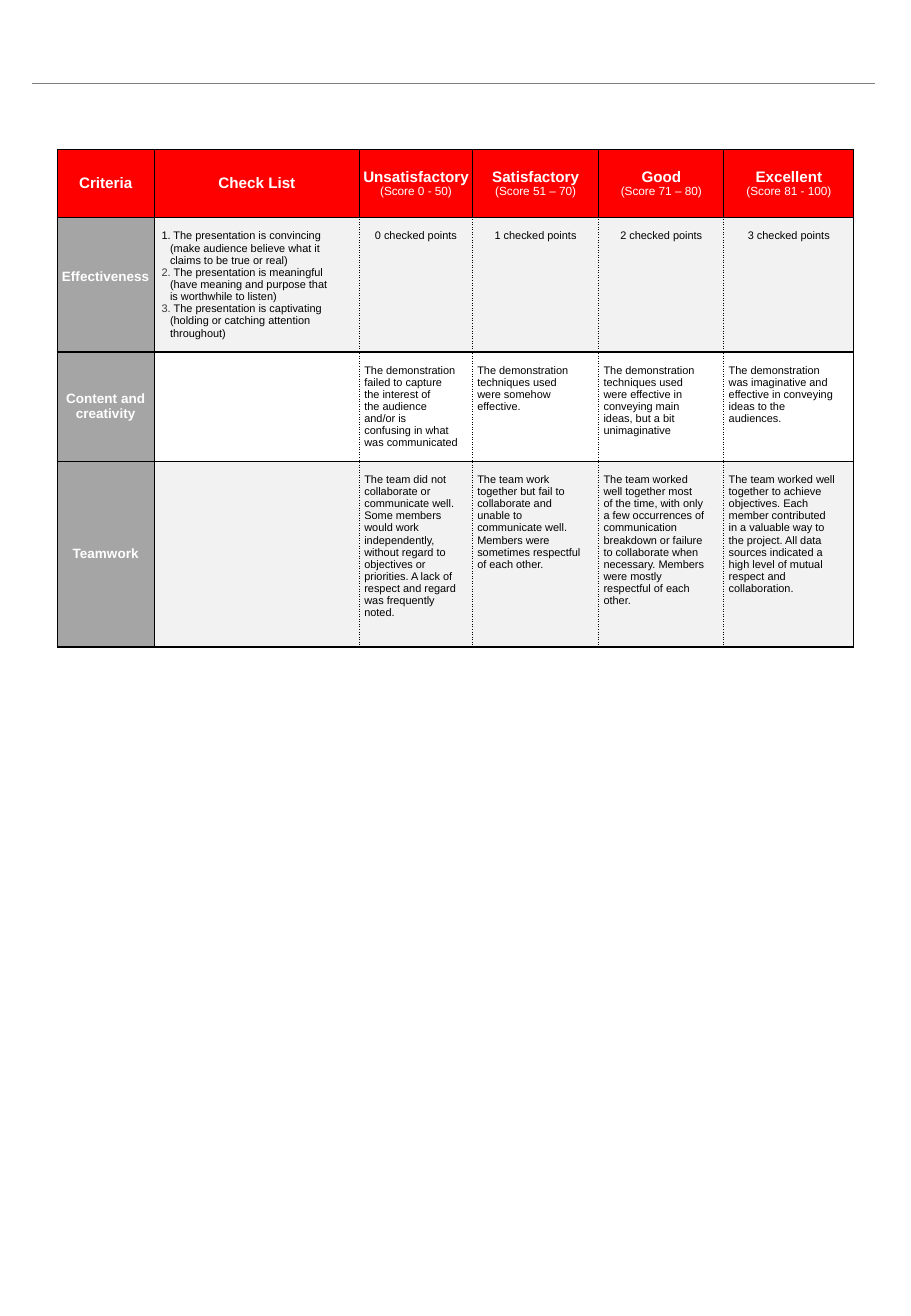
from lxml.etree import SubElement
from pptx import Presentation
from pptx.dml.color import RGBColor
from pptx.enum.shapes import MSO_CONNECTOR
from pptx.enum.text import MSO_ANCHOR, PP_ALIGN
from pptx.oxml import parse_xml
from pptx.oxml.ns import nsdecls, qn
from pptx.util import Pt

PX = 9144
PAGE = (750, 1084)
RULE = (26, 69, 720, 69)
TABLE_AT = (47, 123)
COLUMNS = (80, 169, 93, 104, 103, 107)
ROWS = (56, 111, 90, 153)
RED, GREY, PALE, WHITE, BLACK, DARK = "FF0000", "A5A5A5", "F2F2F2", "FFFFFF", "000000", "3A3A3A"

HEADERS = [
    ("Criteria",),
    ("Check List",),
    ("Unsatisfactory", "(Score 0 - 50)"),
    ("Satisfactory", "(Score 51 – 70)"),
    ("Good", "(Score 71 – 80)"),
    ("Excellent", "(Score 81 - 100)"),
]
CHECKS = [
    ("1. ", "The presentation is convincing", BLACK),
    ("", "(make audience believe what it", BLACK),
    ("", "claims to be true or real)", BLACK),
    ("2. ", "The presentation is meaningful", DARK),
    ("", "(have meaning and purpose that", BLACK),
    ("", "is worthwhile to listen)", BLACK),
    ("3. ", "The presentation is captivating", DARK),
    ("", "(holding or catching attention", BLACK),
    ("", "throughout)", BLACK),
]
CRITERIA = ["Effectiveness", "Content and creativity", "Teamwork"]
POINTS = ["0 checked points", "1 checked points", "2 checked points", "3 checked points"]
CREATIVITY = [
    "The demonstration\nfailed to capture\nthe interest of\nthe audience\nand/or is\n"
    "confusing in what\nwas communicated",
    "The demonstration\ntechniques used\nwere somehow\neffective.",
    "The demonstration\ntechniques used\nwere effective in\nconveying main\n"
    "ideas, but a bit\nunimaginative",
    "The demonstration\nwas imaginative and\neffective in conveying\nideas to the\naudiences.",
]
TEAMWORK = [
    "The team did not\ncollaborate or\ncommunicate well.\nSome members\nwould work\n"
    "independently,\nwithout regard to\nobjectives or\npriorities. A lack of\n"
    "respect and regard\nwas frequently\nnoted.",
    "The team work\ntogether but fail to\ncollaborate and\nunable to\ncommunicate well.\n"
    "Members were\nsometimes respectful\nof each other.",
    "The team worked\nwell together most\nof the time, with only\na few occurrences of\n"
    "communication\nbreakdown or failure\nto collaborate when\nnecessary. Members\n"
    "were mostly\nrespectful of each\nother.",
    "The team worked well\ntogether to achieve\nobjectives. Each\nmember contributed\n"
    "in a valuable way to\nthe project. All data\nsources indicated a\n"
    "high level of mutual\nrespect and\ncollaboration.",
]
RATINGS = [POINTS, CREATIVITY, TEAMWORK]


def px(length):
    return length * PX


def color(value):
    return RGBColor.from_string(value)


def style(font, size, value, bold=False):
    font.name, font.size, font.bold = "Arial", Pt(size), bold
    font.color.rgb = color(value)


def border(cell, dotted):
    properties = cell._tc.get_or_add_tcPr()
    for index, side in enumerate("LRTB"):
        dash = "dot" if side in dotted else "solid"
        properties.insert(index, parse_xml(
            f'<a:ln{side} {nsdecls("a")} w="9525"><a:solidFill><a:srgbClr val="{BLACK}"/>'
            f'</a:solidFill><a:prstDash val="{dash}"/></a:ln{side}>'))


def prepare(cell, fill, margins, anchor=MSO_ANCHOR.MIDDLE, dotted=""):
    cell.fill.solid()
    cell.fill.fore_color.rgb = color(fill)
    cell.margin_left, cell.margin_top, cell.margin_right, cell.margin_bottom = map(px, margins)
    cell.vertical_anchor = anchor
    border(cell, dotted)
    style(cell.text_frame.paragraphs[0].font, 6.5, BLACK)


def write(cell, lines, align, sizes, value, bolds):
    cell.text_frame.text = "\n".join(lines)
    for paragraph, size, bold in zip(cell.text_frame.paragraphs, sizes, bolds):
        paragraph.alignment = align
        style(paragraph.font, size, value, bold)
        for run in paragraph.runs:
            style(run.font, size, value, bold)


def write_checks(cell):
    frame = cell.text_frame
    for index, (number, text, number_color) in enumerate(CHECKS):
        paragraph = frame.add_paragraph() if index else frame.paragraphs[0]
        if not number:
            paragraph._p.get_or_add_pPr().set("marL", str(px(7)))
        for part, value in ((number, number_color), (text, BLACK)):
            if part:
                run = paragraph.add_run()
                run.text = part
                style(run.font, 6.5, value)


def add_rule(page):
    rule = page.shapes.add_connector(MSO_CONNECTOR.STRAIGHT, *map(px, RULE))
    rule.line.color.rgb = color("7F7F7F")
    rule.line.width = Pt(0.75)
    SubElement(rule._element.spPr, qn("a:effectLst"))


def add_rubric(page):
    size = (px(sum(COLUMNS)), px(sum(ROWS)))
    table = page.shapes.add_table(len(ROWS), len(COLUMNS), *map(px, TABLE_AT), *size).table
    for column, width in zip(table.columns, COLUMNS):
        column.width = px(width)
    for row, height in zip(table.rows, ROWS):
        row.height = px(height)

    for column, lines in enumerate(HEADERS):
        cell = table.cell(0, column)
        prepare(cell, RED, (2, 0, 2, 0))
        write(cell, lines, PP_ALIGN.CENTER, (9, 7), WHITE, (True, False))

    for row, (criterion, ratings) in enumerate(zip(CRITERIA, RATINGS), 1):
        fill = PALE if row % 2 else WHITE
        name, checklist = table.cell(row, 0), table.cell(row, 1)
        prepare(name, GREY, (2, 0, 2, 13 if row == 1 else 0))
        write(name, [criterion], PP_ALIGN.CENTER, [8], WHITE, [True])
        prepare(checklist, fill, (6, 0, 2, 0), dotted="R")
        if row == 1:
            write_checks(checklist)
        for column, text in enumerate(ratings, 2):
            cell = table.cell(row, column)
            centred = ratings is POINTS
            last = column == len(COLUMNS) - 1
            prepare(cell, fill, (2 if centred else 4, 10, 2, 0), MSO_ANCHOR.TOP,
                    "L" if last else "LR")
            lines = text.split("\n")
            write(cell, lines, PP_ALIGN.CENTER if centred else PP_ALIGN.LEFT,
                  [6.5] * len(lines), BLACK, [False] * len(lines))


def main():
    """Build the presentation scoring rubric."""
    deck = Presentation()
    deck.slide_width, deck.slide_height = map(px, PAGE)
    page = deck.slides.add_slide(deck.slide_layouts[6])
    add_rule(page)
    add_rubric(page)
    deck.save("out.pptx")


if __name__ == "__main__":
    main()
